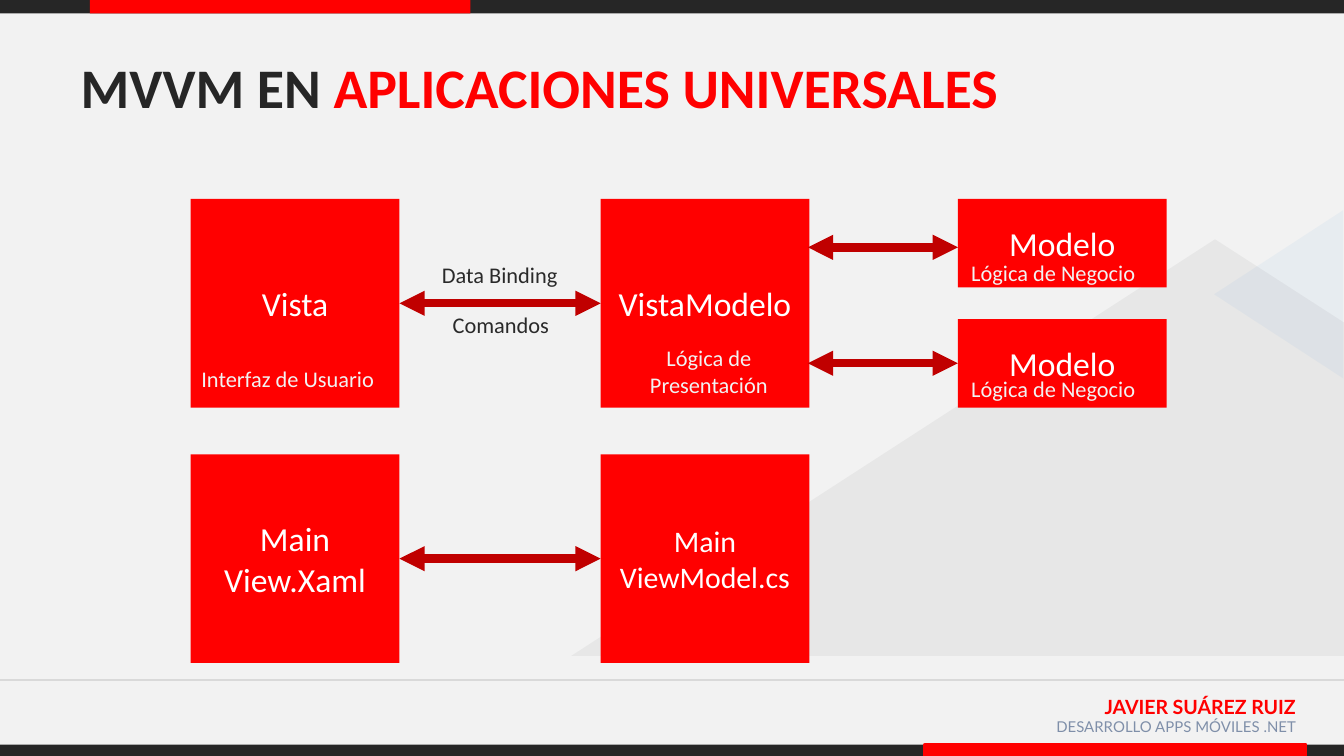
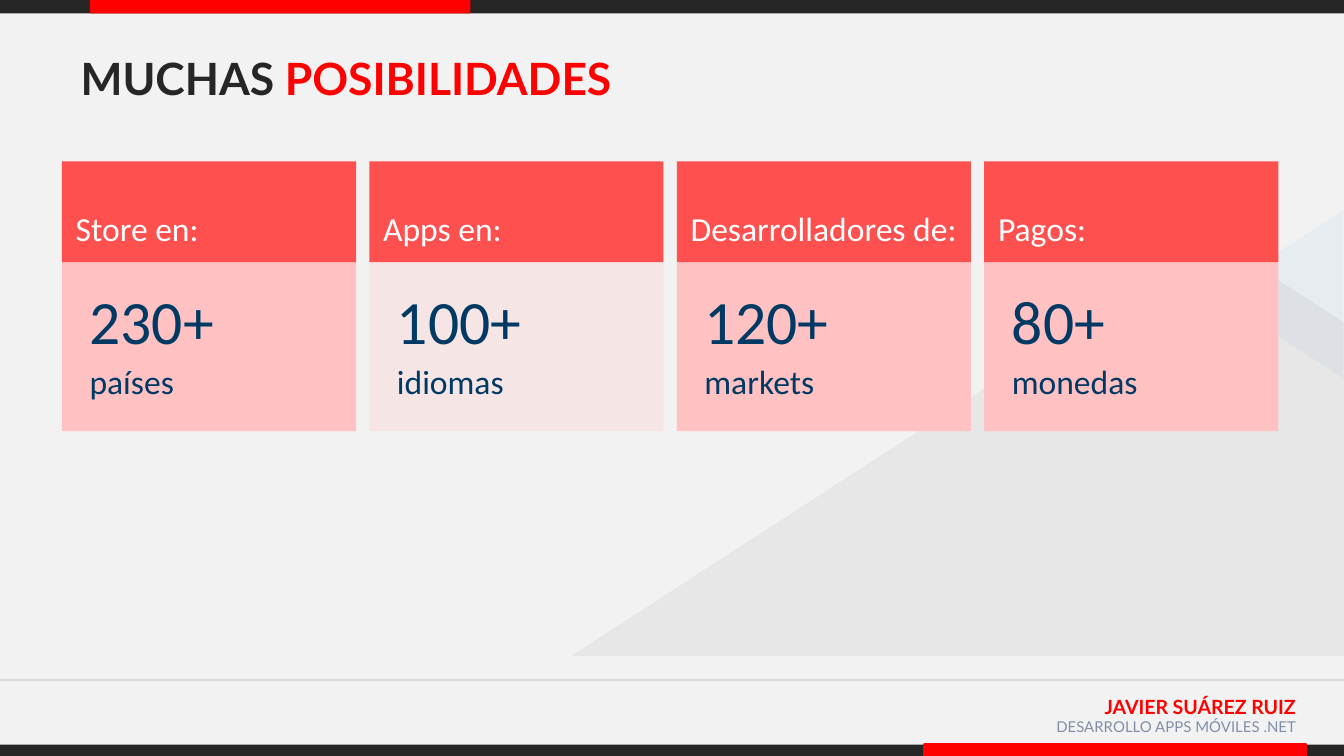
from lxml.etree import SubElement
from pptx import Presentation
from pptx.dml.color import RGBColor
from pptx.enum.shapes import MSO_CONNECTOR, MSO_SHAPE
from pptx.enum.text import MSO_ANCHOR, MSO_AUTO_SIZE, PP_ALIGN
from pptx.oxml.ns import qn
from pptx.util import Pt

# Colours and fonts
DARK = RGBColor(0x26, 0x26, 0x26)
RED = RGBColor(0xFF, 0x00, 0x00)
MAROON = RGBColor(0xC0, 0x00, 0x00)
CORAL = RGBColor(0xFF, 0x50, 0x50)
PINK = RGBColor(0xFF, 0xC1, 0xC1)
NAVY = RGBColor(0x00, 0x39, 0x63)
BLUE = RGBColor(0x29, 0x7F, 0xD5)
SLATE = RGBColor(0x7F, 0x8F, 0xA9)
RULE = RGBColor(0xD9, 0xD9, 0xD9)
INK = RGBColor(0x2A, 0x2A, 0x2A)
PALE = RGBColor(0xF2, 0xF2, 0xF2)
WHITE = RGBColor(0xFF, 0xFF, 0xFF)
MAIN, ALT = "Calibri", "Lato"
WIDE, HIGH = 720, 405


# Basic parts
def paint(shape, fill, alpha=None):
    shape.shadow.inherit = False
    shape.fill.solid()
    shape.fill.fore_color.rgb = fill
    shape.line.fill.background()
    if alpha is not None:
        color = shape.element.spPr.find(".//" + qn("a:srgbClr"))
        SubElement(color, qn("a:alpha")).set("val", str(alpha * 1000))
    return shape


def block(shapes, box, fill, alpha=None, kind=MSO_SHAPE.RECTANGLE):
    return paint(shapes.add_shape(kind, *map(Pt, box)), fill, alpha)


def inset(frame, left, top, right, bottom):
    frame.margin_left, frame.margin_top = Pt(left), Pt(top)
    frame.margin_right, frame.margin_bottom = Pt(right), Pt(bottom)


def style(para, size, color, font=MAIN, bold=False, align=PP_ALIGN.LEFT):
    para.alignment = align
    para.font.name, para.font.size = font, Pt(size)
    para.font.bold, para.font.color.rgb = bold, color


def write(frame, lines, size, color, **look):
    frame.text = "\n".join(lines)
    for para in frame.paragraphs:
        style(para, size, color, **look)


def label(slide, box, lines, size, color, wrap=False, **look):
    frame = slide.shapes.add_textbox(*map(Pt, box)).text_frame
    frame.word_wrap = wrap
    if not wrap:
        frame.auto_size = MSO_AUTO_SIZE.SHAPE_TO_FIT_TEXT
    write(frame, lines, size, color, **look)


def line(slide, start, end, color, width, heads=False):
    link = slide.shapes.add_connector(
        MSO_CONNECTOR.STRAIGHT, *map(Pt, (*start, *end)))
    link.line.color.rgb, link.line.width = color, Pt(width)
    if heads:
        for tag in ("a:headEnd", "a:tailEnd"):
            SubElement(link.line._get_or_add_ln(), qn(tag)).set("type", "triangle")
    SubElement(link.element.spPr, qn("a:effectLst"))


# Shared frame of every slide
def hills(slide):
    path = slide.shapes.build_freeform(Pt(306), Pt(351.4))
    spots = ((WIDE, 351.4), (WIDE, 172.8), (650.9, 128.2))
    path.add_line_segments([(Pt(x), Pt(y)) for x, y in spots])
    paint(path.convert_to_shape(), DARK, 5)
    peak = block(slide.shapes, (640, 123.1, 90, 69.1), BLUE, 5,
                 MSO_SHAPE.ISOSCELES_TRIANGLE)
    peak.rotation = 270


def bands(slide):
    block(slide.shapes, (0, 0, WIDE, 7.2), DARK)
    block(slide.shapes, (48.2, 0, 203.8, 7.2), RED)
    block(slide.shapes, (0, 399, WIDE, 6), DARK)
    foot = block(slide.shapes, (495.4, 399, 204, 6), RED)
    foot.line.color.rgb, foot.line.width = RED, Pt(2)


def footer(slide):
    label(slide, (571, 368.6, 130.3, 22.3), ["JAVIER SUÁREZ RUIZ"], 10.5, RED,
          wrap=True, font=ALT, bold=True, align=PP_ALIGN.RIGHT)
    label(slide, (555.6, 380.9, 146, 22.3), ["DESARROLLO APPS MÓVILES .NET"], 8,
          SLATE, wrap=True, font=ALT, align=PP_ALIGN.RIGHT)
    line(slide, (0, 364.3), (WIDE, 364.3), RULE, 0.75)


def page(deck, lead, rest, high, size, font, space):
    slide = deck.slides.add_slide(deck.slide_layouts[5])
    title = slide.shapes.title
    title.left, title.top = Pt(36), Pt(31.7)
    title.width, title.height = Pt(648), Pt(high)
    frame = title.text_frame
    frame.auto_size = MSO_AUTO_SIZE.NONE
    frame.vertical_anchor = MSO_ANCHOR.TOP
    inset(frame, 7.2, 3.6, 7.2, 3.6)
    para = frame.paragraphs[0]
    style(para, size, DARK, font, bold=True)
    para.line_spacing = space
    para.add_run().text = lead
    run = para.add_run()
    run.text, run.font.color.rgb = rest, RED
    bands(slide)
    footer(slide)
    hills(slide)
    return slide


# Diagram of the pattern
def node(slide, box, lines, size=18):
    frame = block(slide.shapes, box, RED).text_frame
    frame.word_wrap = True
    frame.vertical_anchor = MSO_ANCHOR.MIDDLE
    inset(frame, 3, 3, 3, 3)
    write(frame, lines, size, WHITE, align=PP_ALIGN.CENTER)


def scheme(slide, left, top):
    side, low = 111.8, 47.4
    view, logic, model = left, left + 219.6, left + 411
    next_row = top + 136.8
    node(slide, (view, top, side, side), ["Vista"])
    node(slide, (logic, top, side, side), ["VistaModelo"])
    node(slide, (view, next_row, side, side), ["Main", "View.Xaml"])
    node(slide, (logic, next_row, side, side), ["Main", "ViewModel.cs"], 16)
    for y in (top, next_row):
        mid = y + side / 2
        line(slide, (logic, mid), (view + side, mid), MAROON, 4.5, True)

    models = ((0, 25.9, 28.8), (side - low, 88, 90.7))
    for drop, mid, note in models:
        node(slide, (model, top + drop, side, low), ["Modelo"])
        line(slide, (model, top + mid), (logic + side - 0.8, top + mid),
             MAROON, 4.5, True)
        label(slide, (model, top + note, 113.8, 21.8), ["Lógica de Negocio"],
              12, PALE)

    label(slide, (left + 127.5, top + 29.5, 84.2, 21.8), ["Data Binding"], 12, INK)
    label(slide, (left + 133.2, top + 56.8, 71.3, 21.8), ["Comandos"], 12, INK)
    label(slide, (left - 1.4, top + 85.6, 117.4, 21.8), ["Interfaz de Usuario"],
          12, PALE)
    label(slide, (left + 235.5, top + 74.1, 84.2, 36.4),
          ["Lógica de", "Presentación"], 12, PALE, align=PP_ALIGN.CENTER)


# Card with a heading, a count and a unit
def card(slide, box, head, count, unit, alpha=None):
    left, top, wide, high = box
    cap = 54
    shapes = slide.shapes.add_group_shape().shapes
    body = block(shapes, (left, top + cap, wide, high - cap), PINK, alpha).text_frame
    body.vertical_anchor = MSO_ANCHOR.MIDDLE
    inset(body, 14.8, 3.7, 3.7, 3.7)
    write(body, [count, unit], 18, NAVY)
    first, second = body.paragraphs
    first.font.size = Pt(33)
    second.space_before = Pt(4.5)

    bar = block(shapes, (left, top, wide, cap), CORAL).text_frame
    bar.vertical_anchor = MSO_ANCHOR.BOTTOM
    inset(bar, 7.4, 3.7, 3.7, 7.4)
    write(bar, [head], 18, WHITE)
    for frame in (body, bar):
        frame.word_wrap = True
        for para in frame.paragraphs:
            para.line_spacing = 0.9


def cards(slide, left, top):
    facts = (
        ("Store en:", "230+", "países", None),
        ("Apps en:", "100+", "idiomas", 26),
        ("Desarrolladores de:", "120+", "markets", None),
        ("Pagos:", "80+", "monedas", None),
    )
    wide, gap = 157.6, 7.1
    for i, fact in enumerate(facts):
        card(slide, (left + i * (wide + gap), top, wide, 144.6), *fact)


def main():
    deck = Presentation()
    deck.slide_width, deck.slide_height = Pt(WIDE), Pt(HIGH)
    back = deck.slide_master.background.fill
    back.solid()
    back.fore_color.rgb = PALE
    scheme(page(deck, "MVVM EN ", "APLICACIONES UNIVERSALES", 38.2, 29.9, MAIN, 0.8),
           102.2, 106.6)
    cards(page(deck, "MUCHAS ", "POSIBILIDADES", 28, 23.8, ALT, 0.7), 33.2, 86.4)
    deck.save("out.pptx")


if __name__ == "__main__":
    main()
